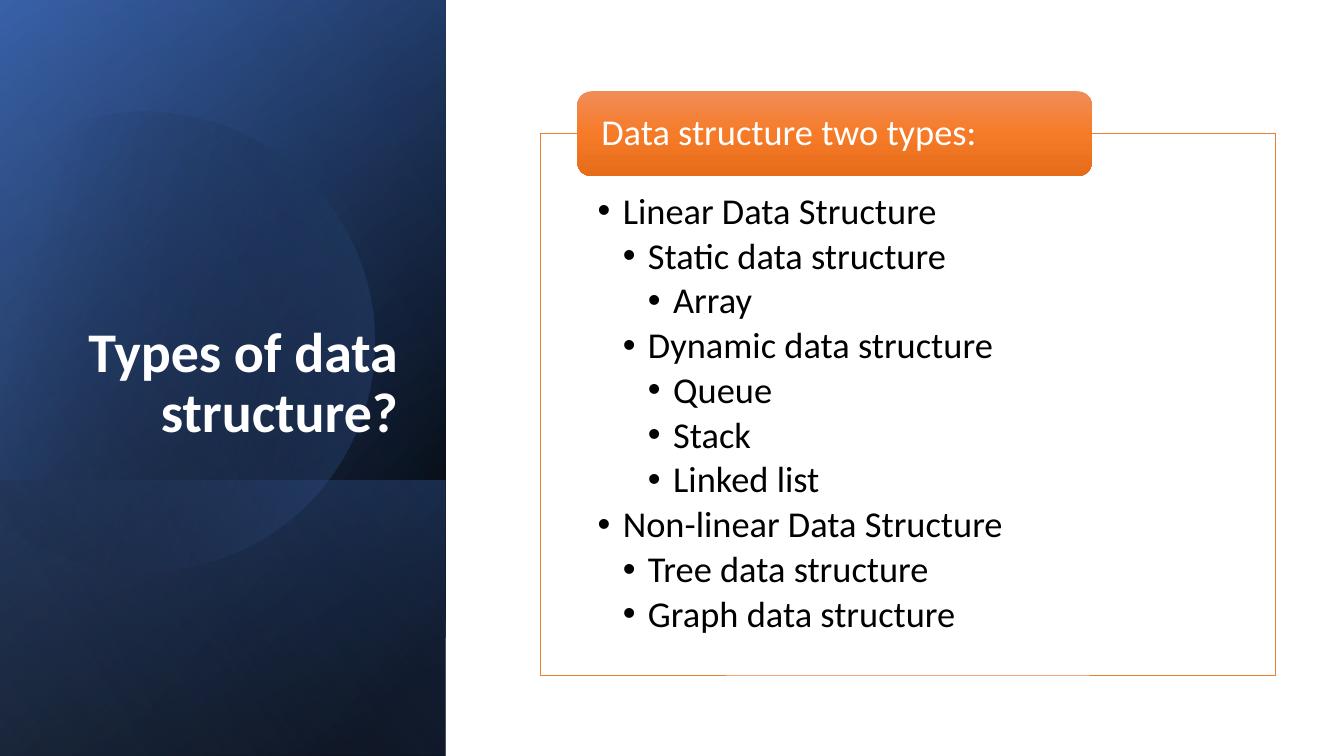
"""Build the slide on the types of data structure."""
from itertools import pairwise
from math import cos, radians, sin, tan

from lxml.etree import SubElement
from pptx import Presentation
from pptx.dml.color import RGBColor
from pptx.enum.shapes import MSO_SHAPE as Preset
from pptx.enum.text import MSO_ANCHOR as Anchor, MSO_AUTO_SIZE as AutoSize, PP_ALIGN as Align
from pptx.oxml.ns import qn
from pptx.util import Cm, Pt

FONT = "Calibri"
WHITE, BLACK, ORANGE, BLUE = "FFFFFF", "000000", "ED7D31", "4472C4"
SLIDE_W, SLIDE_H, SIDE_W = 33.87, 19.05, 11.23
GROUND_TOP = 12.11
INDENT = 0.635

HEADLINE = "Types of data structure?"
LABEL = "Data structure two types:"
TYPES = [
    (0, "Linear Data Structure"),
    (1, "Static data structure"),
    (2, "Array"),
    (1, "Dynamic data structure"),
    (2, "Queue"),
    (2, "Stack"),
    (2, "Linked list"),
    (0, "Non-linear Data Structure"),
    (1, "Tree data structure"),
    (1, "Graph data structure"),
]

# Each stop is position, colour and opacity in percent.
BASE = (50, [(8, BLACK, 100), (100, "2F5597", 100)])
GLOW = (30, [(0, BLACK, 0), (99, BLUE, 46)])
GROUND = (130, [(2, BLUE, 29), (100, BLACK, 30)])
DISC = (30, [(29, BLACK, 0), (100, BLUE, 43)])
SHEEN = (120, [(0, BLACK, 0), (99, "8FAADC", 11)])
LABEL_FILL = (90, [(0, "F18C57", 100), (50, "F67B28", 100), (100, "E56C19", 100)])


def rgb(code):
    return RGBColor.from_string(code)


def paint(shape, gradient):
    angle, stops = gradient
    shape.shadow.inherit = False
    shape.line.fill.background()
    shape.fill.gradient()
    shape.fill.gradient_angle = 360 - angle
    stop_list = shape.element.xpath(".//a:gsLst")[0]
    for old_stop in list(stop_list):
        stop_list.remove(old_stop)
    for position, code, opacity in stops:
        stop = SubElement(stop_list, qn("a:gs"), pos=str(position * 1000))
        colour = SubElement(stop, qn("a:srgbClr"), val=code)
        if opacity < 100:
            SubElement(colour, qn("a:alpha"), val=str(opacity * 1000))


def add_side_panel(top, gradient):
    height = SLIDE_H - top
    left = (SIDE_W - height) / 2
    turned_top = top + (height - SIDE_W) / 2
    panel = slide.shapes.add_shape(
        Preset.RECTANGLE, Cm(left), Cm(turned_top), Cm(height), Cm(SIDE_W))
    panel.rotation = 90
    panel.element.xpath(".//a:xfrm")[0].set("flipH", "1")
    paint(panel, gradient)


def on_circle(radius, turn):
    return Cm(radius * cos(radians(turn))), Cm(radius * sin(radians(turn)))


def add_disc(centre_x, centre_y, radius, turns):
    rim = [(Cm(centre_x) + x, Cm(centre_y) + y)
           for x, y in (on_circle(radius, turn) for turn in turns)]
    builder = slide.shapes.build_freeform(*rim[0])
    builder.add_line_segments(rim[1:], close=True)
    disc = builder.convert_to_shape()
    disc.rotation = 343.9
    paint(disc, DISC)
    offset_x, offset_y = disc.left, disc.top
    sides = disc.element.xpath(".//a:lnTo")
    for side, (start, end), (first, last) in zip(sides, pairwise(turns), pairwise(rim)):
        reach = radius * 4 / 3 * tan(radians(end - start) / 4)
        out_x, out_y = on_circle(reach, start + 90)
        back_x, back_y = on_circle(reach, end - 90)
        curve = [(first[0] + out_x, first[1] + out_y),
                 (last[0] + back_x, last[1] + back_y), last]
        side.tag = qn("a:cubicBezTo")
        side.remove(side[0])
        for x, y in curve:
            SubElement(side, qn("a:pt"), x=str(x - offset_x), y=str(y - offset_y))


def place(shape, left, top, width, height):
    shape.left, shape.top = Cm(left), Cm(top)
    shape.width, shape.height = Cm(width), Cm(height)


def set_frame(frame, anchor, left, top, right, bottom):
    frame.word_wrap = True
    frame.auto_size = AutoSize.NONE
    frame.vertical_anchor = anchor
    frame.margin_left, frame.margin_top = Cm(left), Cm(top)
    frame.margin_right, frame.margin_bottom = Cm(right), Cm(bottom)


def write(paragraph, words, size, code, align=Align.LEFT, after=0, bold=False):
    paragraph.alignment = align
    paragraph.line_spacing = 0.9
    paragraph.space_before, paragraph.space_after = Pt(0), Pt(after)
    run = paragraph.add_run()
    run.text = words
    run.font.name, run.font.size, run.font.bold = FONT, Pt(size), bold
    run.font.color.rgb = rgb(code)


def add_bullet(paragraph, level):
    paragraph.level = level
    properties = paragraph._p.get_or_add_pPr()
    properties.set("marL", str(Cm(INDENT * (level + 1))))
    properties.set("indent", str(Cm(-INDENT)))
    SubElement(properties, qn("a:buFont"), typeface="Arial")
    SubElement(properties, qn("a:buChar"), char="•")


presentation = Presentation()
presentation.slide_width, presentation.slide_height = Cm(SLIDE_W), Cm(SLIDE_H)
slide = presentation.slides.add_slide(presentation.slide_layouts[1])
title, types = slide.placeholders

add_side_panel(0, BASE)
add_side_panel(0, GLOW)
add_side_panel(GROUND_TOP, GROUND)
add_disc(3.61, 8.5, 5.8, [-118, -90, 0, 90, 150])
add_side_panel(0, SHEEN)

for placeholder in (title, types):
    slide.shapes.element.append(placeholder.element)

place(title, 1.62, 4.69, 8.66, 6.65)
set_frame(title.text_frame, Anchor.BOTTOM, 0.25, 0.13, 0.25, 0.13)
write(title.text_frame.paragraphs[0], HEADLINE, 40, WHITE, Align.RIGHT, after=6, bold=True)

place(types, 13.61, 3.36, 18.52, 13.65)
types.fill.solid()
types.fill.fore_color.rgb = rgb(WHITE)
types.line.color.rgb = rgb(ORANGE)
types.line.width = Pt(0.5)
set_frame(types.text_frame, Anchor.TOP, 1.45, 1.5, 1.45, 0.5)
for index, (level, words) in enumerate(TYPES):
    item = types.text_frame.add_paragraph() if index else types.text_frame.paragraphs[0]
    write(item, words, 26, BLACK, after=3.9)
    add_bullet(item, level)

label = slide.shapes.add_shape(
    Preset.ROUNDED_RECTANGLE, Cm(14.55), Cm(2.3), Cm(12.97), Cm(2.14))
paint(label, LABEL_FILL)
set_frame(label.text_frame, Anchor.MIDDLE, 0.5, 0, 0.5, 0)
write(label.text_frame.paragraphs[0], LABEL, 26, WHITE)

presentation.save("out.pptx")
